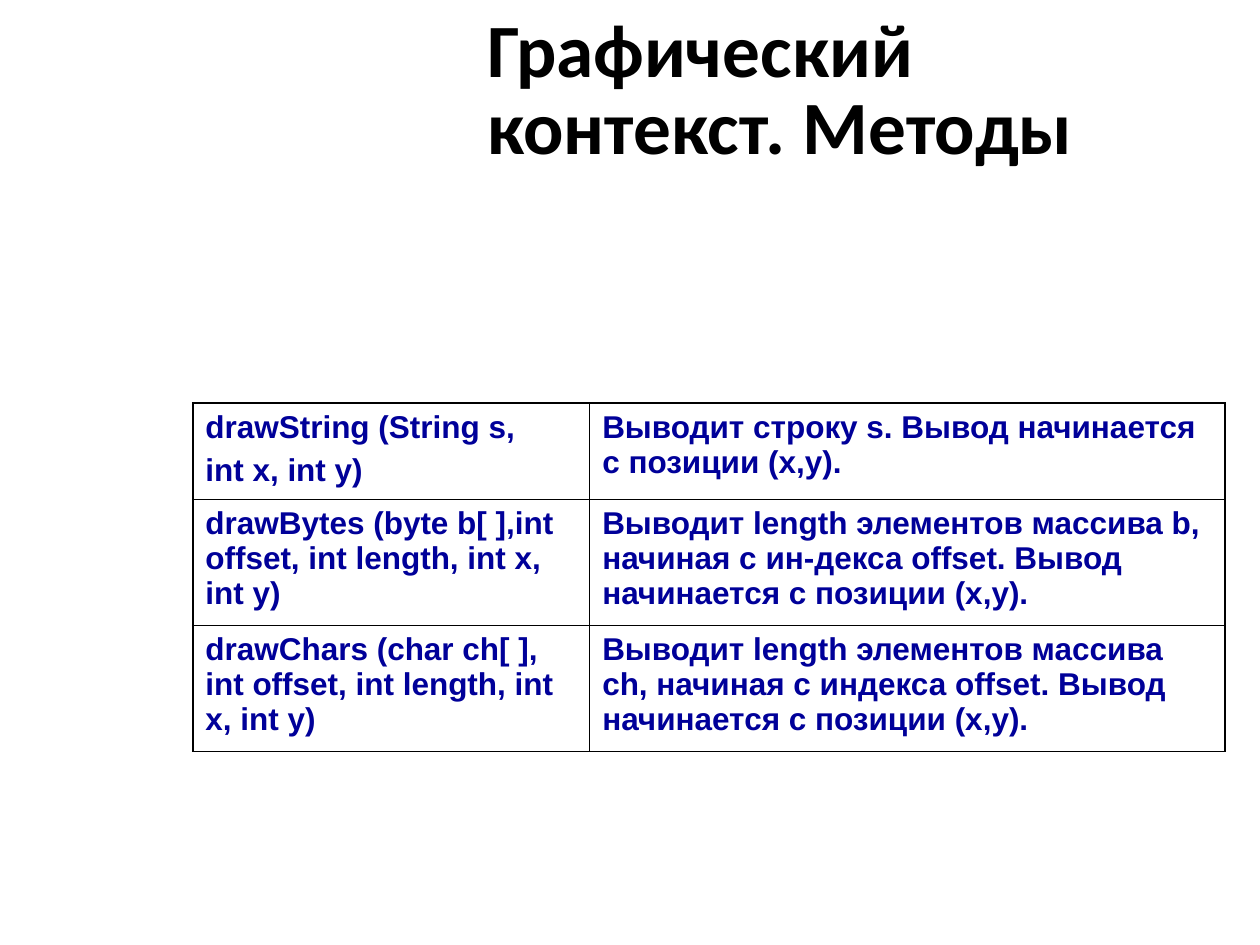
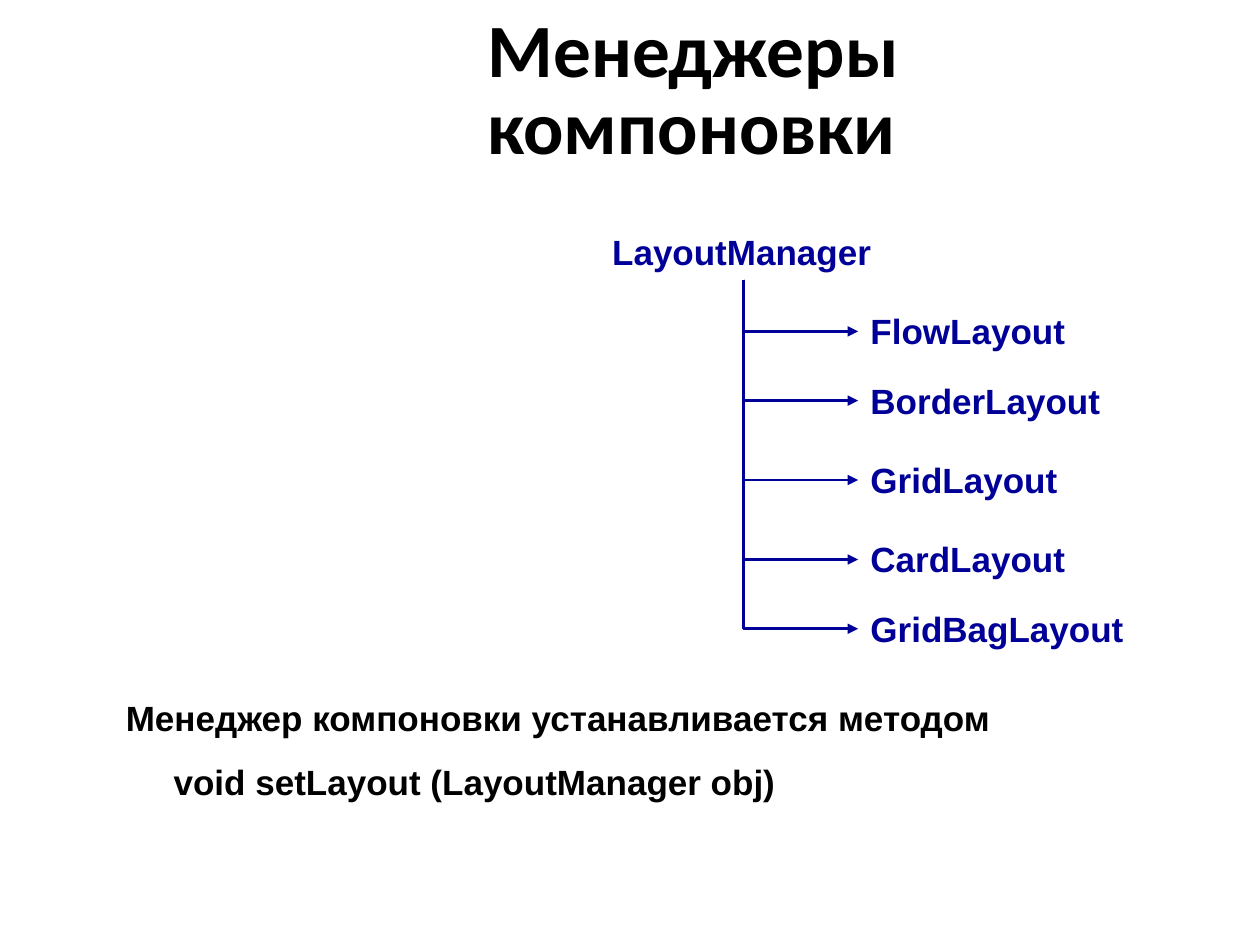
from dataclasses import dataclass

from lxml import etree
from pptx import Presentation
from pptx import util as u
from pptx.dml.color import RGBColor
from pptx.enum import shapes, text
from pptx.oxml import ns

BLACK = "000000"
NAVY = "000099"
TITLE_FONT = "Calibri"
BODY_FONT = "Arial"
HANGING = 0.38
OUTER_BORDER, INNER_BORDER = 1.08, 0.45


@dataclass
class Box:
    left: float
    top: float
    width: float
    height: float

    def lengths(self) -> list:
        return [u.Inches(v) for v in (self.left, self.top, self.width, self.height)]


@dataclass
class Style:
    size: float
    color: str
    font: str = BODY_FONT
    space_before: float = 0


@dataclass
class Method:
    signature: list[str]
    description: str


@dataclass
class Manager:
    name: str
    top: float


TITLE_BOX = Box(3.82, 0.52, 5.92, 0.83)
TITLE = Style(43, BLACK, TITLE_FONT)
CELL = Style(18, NAVY, space_before=4.5)
LABEL = Style(20, NAVY)
NOTE = Style(20, BLACK, space_before=12.5)

METHODS = [
    Method(["drawString (String s,", "int x, int y)"],
           "Выводит строку s. Вывод начинается с позиции (x,y)."),
    Method(["drawBytes (byte b[ ],int offset, int length, int x, int y)"],
           "Выводит length элементов массива b, начиная с ин-декса offset. "
           "Вывод начинается с позиции (x,y)."),
    Method(["drawChars (char ch[ ], int offset, int length, int x, int y)"],
           "Выводит length элементов массива ch, начиная с индекса offset. "
           "Вывод начинается с позиции (x,y)."),
]
MANAGERS = [
    Manager("FlowLayout", 2.41),
    Manager("BorderLayout", 2.96),
    Manager("GridLayout", 3.59),
    Manager("CardLayout", 4.22),
    Manager("GridBagLayout", 4.77),
]


def rgb(color: str) -> RGBColor:
    return RGBColor.from_string(color)


def write(frame, lines: list[str], style: Style) -> None:
    """Fill a text frame, one paragraph a line."""
    for index, line in enumerate(lines):
        paragraph = frame.add_paragraph() if index else frame.paragraphs[0]
        if index:
            paragraph.space_before = u.Pt(style.space_before)
        run = paragraph.add_run()
        run.text = line
        run.font.name = style.font
        run.font.size = u.Pt(style.size)
        run.font.bold = True
        run.font.color.rgb = rgb(style.color)


def indent(paragraph, margin: float, first: float) -> None:
    properties = paragraph._p.get_or_add_pPr()
    properties.set("marL", str(u.Inches(margin)))
    properties.set("indent", str(u.Inches(first)))


def add_text(slide, box: Box, lines: list[str], style: Style):
    area = slide.shapes.add_textbox(*box.lengths())
    area.text_frame.word_wrap = True
    write(area.text_frame, lines, style)
    return area


def add_title(slide, title: str) -> None:
    frame = add_text(slide, TITLE_BOX, [title], TITLE).text_frame
    frame.vertical_anchor = text.MSO_ANCHOR.BOTTOM
    frame.margin_left = frame.margin_right = u.Inches(0.05)
    frame.margin_top = frame.margin_bottom = 0
    frame.paragraphs[0].line_spacing = 0.85


def add_label(slide, name: str, left: float, top: float):
    label = add_text(slide, Box(left, top, 2.28, 0.44), [name], LABEL)
    label.text_frame.auto_size = text.MSO_AUTO_SIZE.SHAPE_TO_FIT_TEXT
    indent(label.text_frame.paragraphs[0], HANGING, -HANGING)
    return label


def set_borders(cell, widths: dict[str, float]) -> None:
    properties = cell._tc.get_or_add_tcPr()
    for side, width in widths.items():
        border = etree.SubElement(properties, ns.qn(f"a:{side}"), w=str(u.Pt(width)))
        fill = etree.SubElement(border, ns.qn("a:solidFill"))
        etree.SubElement(fill, ns.qn("a:srgbClr"), val=BLACK)


def add_methods(slide) -> None:
    last = len(METHODS) - 1
    box = Box(1.53, 3.2, 8.19, 2.76)
    table = slide.shapes.add_table(len(METHODS), 2, *box.lengths()).table
    table.first_row = table.horz_banding = False
    for column, width in zip(table.columns, (3.15, 5.04)):
        column.width = u.Inches(width)
    for row, height in zip(table.rows, (0.76, 1, 1)):
        row.height = u.Inches(height)
    for r, method in enumerate(METHODS):
        for c, lines in enumerate((method.signature, [method.description])):
            cell = table.cell(r, c)
            write(cell.text_frame, lines, CELL)
            outer = {"lnL": c == 0, "lnR": c == 1, "lnT": r == 0, "lnB": r == last}
            set_borders(cell, {side: OUTER_BORDER if edge else INNER_BORDER
                               for side, edge in outer.items()})
            cell.fill.background()


def add_branch(slide, parent, child) -> None:
    """Arrow going down from the parent, then right to the child."""
    branch = slide.shapes.add_connector(shapes.MSO_CONNECTOR.ELBOW, 0, 0, 0, 0)
    branch.begin_connect(parent, 2)
    branch.end_connect(child, 1)
    left, top, across, down = branch.left, branch.top, branch.width, branch.height
    # A one-bend elbow is a mirrored shape turned by 270 degrees about its centre
    branch.left = left + (across - down) // 2
    branch.top = top + (down - across) // 2
    branch.width, branch.height = down, across
    properties = branch._element.spPr
    properties.xfrm.set("rot", "16200000")
    properties.xfrm.set("flipH", "1")
    properties.find(ns.qn("a:prstGeom")).set("prst", "bentConnector2")
    branch.line.color.rgb = rgb(NAVY)
    branch.line.width = u.Pt(1.5)
    etree.SubElement(branch.line._get_or_add_ln(), ns.qn("a:tailEnd"), type="triangle")
    etree.SubElement(properties, ns.qn("a:effectLst"))


def add_managers(slide) -> None:
    parent = add_label(slide, "LayoutManager", 4.76, 1.78)
    children = [add_label(slide, m.name, 6.81, m.top) for m in MANAGERS]
    for child in children:
        add_branch(slide, parent, child)


def add_note(slide) -> None:
    note = add_text(slide, Box(0.9, 5.48, 8.9, 0.94),
                    ["Менеджер компоновки устанавливается методом",
                     "void setLayout (LayoutManager obj)"], NOTE)
    note.text_frame.auto_size = text.MSO_AUTO_SIZE.SHAPE_TO_FIT_TEXT
    sentence, code = note.text_frame.paragraphs
    indent(sentence, HANGING, -HANGING)
    indent(code, HANGING, 0)


def main() -> None:
    deck = Presentation()
    deck.slide_width, deck.slide_height = u.Inches(10), u.Inches(7.5)
    blank = deck.slide_layouts[6]

    # Drawing methods of the graphics context
    methods = deck.slides.add_slide(blank)
    add_title(methods, "Графический контекст. Методы")
    add_methods(methods)

    # Tree of layout managers
    managers = deck.slides.add_slide(blank)
    add_title(managers, "Менеджеры компоновки")
    add_managers(managers)
    add_note(managers)

    deck.save("out.pptx")


if __name__ == "__main__":
    main()
